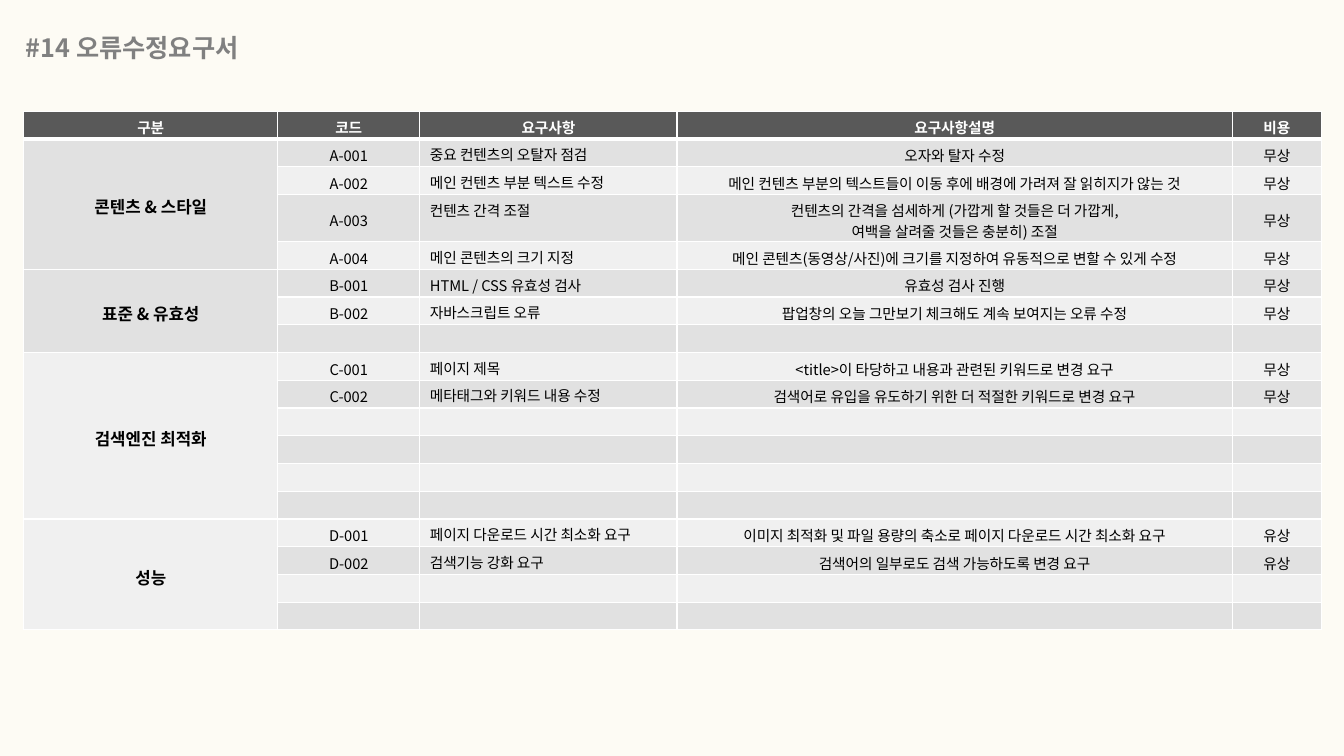
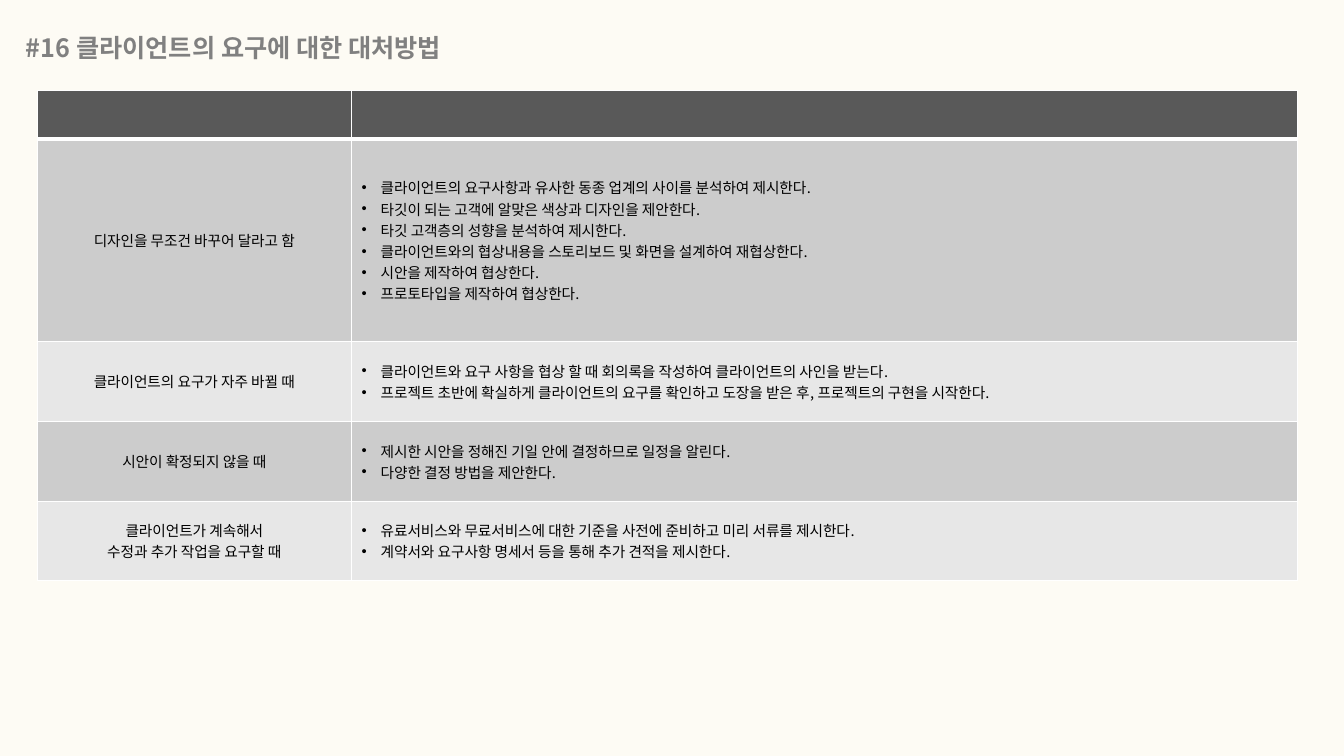
from lxml.etree import SubElement
from pptx import Presentation
from pptx.dml.color import RGBColor
from pptx.enum.text import MSO_ANCHOR, MSO_AUTO_SIZE, PP_ALIGN
from pptx.oxml.ns import qn
from pptx.util import Cm, Pt

FONT = "Noto Sans CJK KR"
PAPER, TITLE, HEADER = "FDFBF4", "808080", "595959"
WHITE, BLACK = "FFFFFF", "000000"

REQUEST_TITLE = "#14 오류수정요구서"
REQUEST_HEADER = ["구분", "코드", "요구사항", "요구사항설명", "비용"]
REQUEST_WIDTHS = [6.4, 3.58, 6.48, 14.0, 2.24]
REQUEST_BANDS = ["E1E1E1", "F0F0F0"]
REQUEST_GROUPS = [
    ("콘텐츠 & 스타일", 4, [
        ("A-001", "중요 컨텐츠의 오탈자 점검", "오자와 탈자 수정", "무상"),
        ("A-002", "메인 컨텐츠 부분 텍스트 수정",
         "메인 컨텐츠 부분의 텍스트들이 이동 후에 배경에 가려져 잘 읽히지가 않는 것", "무상"),
        ("A-003", "컨텐츠 간격 조절",
         "컨텐츠의 간격을 섬세하게 (가깝게 할 것들은 더 가깝게,\n여백을 살려줄 것들은 충분히) 조절", "무상"),
        ("A-004", "메인 콘텐츠의 크기 지정",
         "메인 콘텐츠(동영상/사진)에 크기를 지정하여 유동적으로 변할 수 있게 수정", "무상"),
    ]),
    ("표준 & 유효성", 3, [
        ("B-001", "HTML / CSS 유효성 검사", "유효성 검사 진행", "무상"),
        ("B-002", "자바스크립트 오류",
         "팝업창의 오늘 그만보기 체크해도 계속 보여지는 오류 수정", "무상"),
    ]),
    ("검색엔진 최적화", 6, [
        ("C-001", "페이지 제목",
         "<title>이 타당하고 내용과 관련된 키워드로 변경 요구", "무상"),
        ("C-002", "메타태그와 키워드 내용 수정",
         "검색어로 유입을 유도하기 위한 더 적절한 키워드로 변경 요구", "무상"),
    ]),
    ("성능", 4, [
        ("D-001", "페이지 다운로드 시간 최소화 요구",
         "이미지 최적화 및 파일 용량의 축소로 페이지 다운로드 시간 최소화 요구", "유상"),
        ("D-002", "검색기능 강화 요구", "검색어의 일부로도 검색 가능하도록 변경 요구", "유상"),
    ]),
]

RESPONSE_TITLE = "#16 클라이언트의 요구에 대한 대처방법"
RESPONSE_WIDTHS = [7.92, 23.83]
RESPONSE_HEIGHTS = [1.22, 5.1, 2.01, 2.01, 2.01]
RESPONSE_BANDS = ["CCCCCC", "E7E7E7"]
RESPONSES = [
    ("디자인을 무조건 바꾸어 달라고 함", [
        "클라이언트의 요구사항과 유사한 동종 업계의 사이를 분석하여 제시한다.",
        "타깃이 되는 고객에 알맞은 색상과 디자인을 제안한다.",
        "타깃 고객층의 성향을 분석하여 제시한다.",
        "클라이언트와의 협상내용을 스토리보드 및 화면을 설계하여 재협상한다.",
        "시안을 제작하여 협상한다.",
        "프로토타입을 제작하여 협상한다.",
    ]),
    ("클라이언트의 요구가 자주 바뀔 때", [
        "클라이언트와 요구 사항을 협상 할 때 회의록을 작성하여 클라이언트의 사인을 받는다.",
        "프로젝트 초반에 확실하게 클라이언트의 요구를 확인하고 도장을 받은 후, 프로젝트의 구현을 시작한다.",
    ]),
    ("시안이 확정되지 않을 때", [
        "제시한 시안을 정해진 기일 안에 결정하므로 일정을 알린다.",
        "다양한 결정 방법을 제안한다.",
    ]),
    ("클라이언트가 계속해서\n수정과 추가 작업을 요구할 때", [
        "유료서비스와 무료서비스에 대한 기준을 사전에 준비하고 미리 서류를 제시한다.",
        "계약서와 요구사항 명세서 등을 통해 추가 견적을 제시한다.",
    ]),
]


def paint(fill, color):
    fill.solid()
    fill.fore_color.rgb = RGBColor.from_string(color)


def format_text(frame, size, color, bold, align):
    for paragraph in frame.paragraphs:
        paragraph.alignment = align
        for run in paragraph.runs:
            run.font.size = Pt(size)
            run.font.bold = bold
            run.font.color.rgb = RGBColor.from_string(color)
            run.font.name = FONT
            SubElement(run.font._element, qn("a:ea"), typeface=FONT)
        if not paragraph.runs:
            SubElement(paragraph._p, qn("a:endParaRPr"), sz=str(int(size * 100)))


def add_borders(cell, top, bottom):
    properties = cell._tc.get_or_add_tcPr()
    sides = [("lnL", 1), ("lnR", 1), ("lnT", top), ("lnB", bottom)]
    for position, (side, width) in enumerate(sides):
        line = SubElement(properties, qn(f"a:{side}"), w=str(Pt(width)))
        SubElement(SubElement(line, qn("a:solidFill")), qn("a:srgbClr"), val=WHITE)
        properties.insert(position, line)


def add_bullets(frame):
    for paragraph in frame.paragraphs:
        properties = paragraph._p.get_or_add_pPr()
        properties.set("marL", str(Cm(0.48)))
        properties.set("indent", str(-Cm(0.48)))
        SubElement(properties, qn("a:buFont"), typeface="Arial")
        SubElement(properties, qn("a:buChar"), char="•")


def add_titled_slide(prs, title):
    slide = prs.slides.add_slide(prs.slide_layouts[5])
    heading = slide.shapes.title
    heading.left, heading.top, heading.width, heading.height = Cm(0.4), Cm(0.69), Cm(12.2), Cm(1.02)
    frame = heading.text_frame
    frame.text = title
    frame.word_wrap = False
    frame.auto_size = MSO_AUTO_SIZE.NONE
    frame.vertical_anchor = MSO_ANCHOR.MIDDLE
    format_text(frame, 18, TITLE, True, PP_ALIGN.LEFT)
    return slide


def add_grid(slide, left, top, widths, heights, rows, bands, left_column):
    table = slide.shapes.add_table(len(rows), len(widths), Cm(left), Cm(top),
                                   Cm(sum(widths)), Cm(sum(heights))).table
    table.horz_banding = False
    for column, width in zip(table.columns, widths):
        column.width = Cm(width)
    for r, (row, height) in enumerate(zip(rows, heights)):
        table.rows[r].height = Cm(height)
        for c, text in enumerate(row):
            cell = table.cell(r, c)
            cell.text_frame.text = text
            cell.vertical_anchor = MSO_ANCHOR.MIDDLE
            header = r == 0
            paint(cell.fill, HEADER if header else bands[(r - 1) % 2])
            add_borders(cell, 3 if r == 1 else 1, 3 if header else 1)
            align = PP_ALIGN.LEFT if c == left_column and not header else PP_ALIGN.CENTER
            format_text(cell.text_frame, 10.5, WHITE if header else BLACK, header, align)
    return table


def build_requests(prs):
    slide = add_titled_slide(prs, REQUEST_TITLE)
    rows = [REQUEST_HEADER]
    for _, count, requests in REQUEST_GROUPS:
        rows += [("", *request) for request in requests]
        rows += [[""] * len(REQUEST_HEADER)] * (count - len(requests))
    heights = [1.15 if any("\n" in text for text in row) else 0.7 for row in rows]
    table = add_grid(slide, 0.6, 2.8, REQUEST_WIDTHS, heights, rows, REQUEST_BANDS, 2)
    for cell in table.iter_cells():
        cell.margin_top, cell.margin_bottom = Cm(0.12), Cm(0)
    for r in range(1, len(rows)):
        table.cell(r, 2).vertical_anchor = MSO_ANCHOR.TOP
    first = 1
    for category, count, _ in REQUEST_GROUPS:
        cell = table.cell(first, 0)
        cell.merge(table.cell(first + count - 1, 0))
        cell.text_frame.text = category
        format_text(cell.text_frame, 12, BLACK, True, PP_ALIGN.CENTER)
        first += count


def build_responses(prs):
    slide = add_titled_slide(prs, RESPONSE_TITLE)
    rows = [("", "")] + [(case, "\n".join(actions)) for case, actions in RESPONSES]
    table = add_grid(slide, 0.94, 2.29, RESPONSE_WIDTHS, RESPONSE_HEIGHTS, rows, RESPONSE_BANDS, 1)
    for r in range(1, len(rows)):
        add_bullets(table.cell(r, 1).text_frame)


def main():
    prs = Presentation()
    prs.slide_width, prs.slide_height = Cm(33.87), Cm(19.05)
    paint(prs.slide_master.background.fill, PAPER)
    build_requests(prs)
    build_responses(prs)
    prs.save("out.pptx")


if __name__ == "__main__":
    main()
